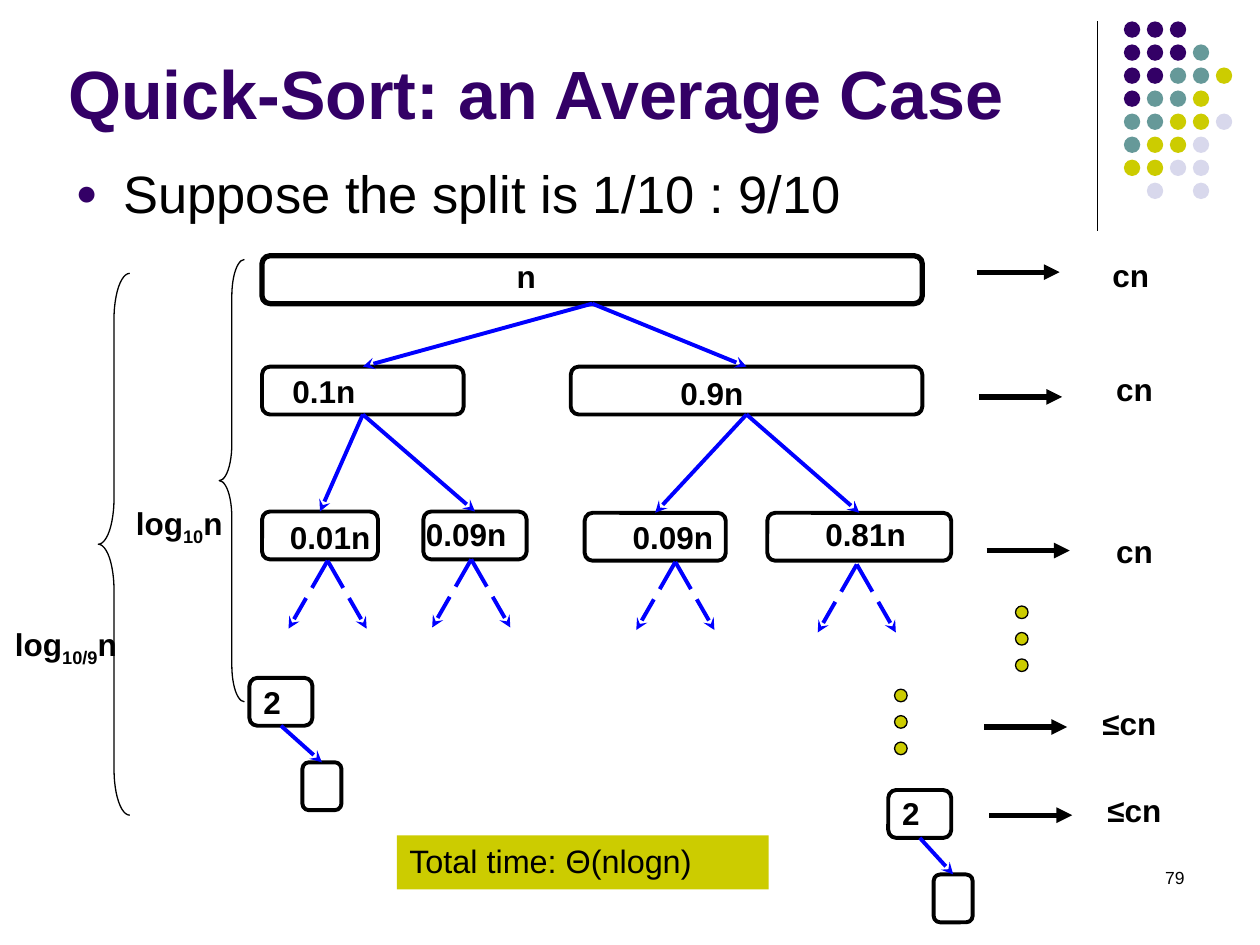
from lxml import etree
from pptx import Presentation
from pptx.dml.color import RGBColor
from pptx.enum.dml import MSO_LINE
from pptx.enum.shapes import MSO_CONNECTOR, MSO_SHAPE
from pptx.enum.text import MSO_ANCHOR, MSO_AUTO_SIZE, PP_ALIGN
from pptx.oxml.ns import qn
from pptx.util import Inches, Pt

STRAIGHT = MSO_CONNECTOR.STRAIGHT
LONG_DASH = MSO_LINE.LONG_DASH
RECTANGLE, ROUNDED = MSO_SHAPE.RECTANGLE, MSO_SHAPE.ROUNDED_RECTANGLE
OVAL, LEFT_BRACE = MSO_SHAPE.OVAL, MSO_SHAPE.LEFT_BRACE
TOP, BOTTOM = MSO_ANCHOR.TOP, MSO_ANCHOR.BOTTOM
LEFT, RIGHT = PP_ALIGN.LEFT, PP_ALIGN.RIGHT
TOP_SITE, BOTTOM_SITE = 0, 2

THEME = {
    "font": "Arial", "ink": "000000", "purple": "330066", "teal": "669999",
    "olive": "CCCC00", "pale": "D8D8EC", "blue": "0000FF",
    "title": 39, "body": 30, "total": 18.5, "label": 18, "number": 10,
    "thin": 0.75, "medium": 2.25, "thick": 3,
}

# Content
TITLE = "Quick-Sort: an Average Case"
BULLET = "Suppose the split is 1/10 : 9/10"
TOTAL = "Total time: Θ(nlogn)"
SLIDE_NUMBER = "79"

# Tree nodes: left, top, width, label, label left, label top, label width
NODE_HEIGHT = 0.38
NODES = {
    "root": (2.08, 2.03, 5.24, "n", 4.1, 2.04, 0.35),
    "tenth": (2.08, 2.91, 1.6, "0.1n", 2.32, 2.95, 0.92),
    "nine tenths": (4.53, 2.91, 2.79, "0.9n", 5.4, 2.97, 0.56),
    "low low": (2.08, 4.06, 0.92, "0.01n", 2.3, 4.11, 0.86),
    "low high": (3.36, 4.06, 0.82, "0.09n", 3.38, 4.09, 0.89),
    "high low": (4.64, 4.07, 1.12, "0.09n", 5.02, 4.11, 0.75),
    "high high": (6.09, 4.07, 1.46, "0.81n", 6.55, 4.09, 0.7),
    "left pair": (1.98, 5.38, 0.5, "2", 2.09, 5.42, 0.34),
    "right pair": (7.05, 6.27, 0.5, "2", 7.16, 6.3, 0.34),
    "left leaf": (2.4, 6.05, 0.31, "", 0, 0, 0),
    "right leaf": (7.41, 6.94, 0.31, "", 0, 0, 0),
}
CHILDREN = {
    "root": ("tenth", "nine tenths"),
    "tenth": ("low low", "low high"),
    "nine tenths": ("high low", "high high"),
    "left pair": ("left leaf",),
    "right pair": ("right leaf",),
}
FURTHER_SPLITS = [(2.6, 4.45), (3.74, 4.44), (5.36, 4.46), (6.8, 4.48)]
# Cost of each level: arrow left, arrow top, text, text left, text top, text width
COSTS = [
    (7.75, 2.16, "cn", 8.73, 1.98, 0.49),
    (7.77, 3.15, "cn", 8.76, 2.89, 0.49),
    (7.83, 4.37, "cn", 8.76, 4.17, 0.49),
    (7.81, 5.77, "≤cn", 8.65, 5.54, 0.63),
    (7.85, 6.47, "≤cn", 8.69, 6.23, 0.63),
]
ELLIPSES = [(8.06, 4.81), (7.1, 5.47)]
# Depths: brace box, logarithm base, label box
DEPTHS = [
    ((0.78, 2.17, 0.25, 4.3), "10/9", (0.02, 4.91, 1.01, 0.44)),
    ((1.74, 2.06, 0.2, 3.51), "10", (0.98, 3.95, 0.89, 0.44)),
]
DOT_ROWS = ["PPP", "PPPT", "PPTTO", "PTTO", "TTOOL", "TOOL", "OOLL", " L L"]
DOT_COLORS = {"P": "purple", "T": "teal", "O": "olive", "L": "pale"}


def color(name):
    return RGBColor.from_string(THEME[name])


def add_shape(kind, box, fill=None, line=None, width="thin"):
    shape = slide.shapes.add_shape(kind, *map(Inches, box))
    shape.shadow.inherit = False
    if fill:
        shape.fill.solid()
        shape.fill.fore_color.rgb = color(fill)
    else:
        shape.fill.background()
    if line:
        shape.line.color.rgb = color(line)
        shape.line.width = Pt(THEME[width])
    else:
        shape.line.fill.background()
    return shape


def add_line(start, end, ink="ink", width="thin", arrow=None, dash=None):
    points = [Inches(value) for value in (*start, *end)]
    connector = slide.shapes.add_connector(STRAIGHT, *points)
    connector.line.color.rgb = color(ink)
    connector.line.width = Pt(THEME[width])
    if dash:
        connector.line.dash_style = dash
    if arrow:
        line_element = connector.line._get_or_add_ln()
        etree.SubElement(line_element, qn("a:tailEnd"), type=arrow)
    etree.SubElement(connector._element.spPr, qn("a:effectLst"))
    return connector


def format_text(shape, size, ink="ink", bold=False, align=LEFT, anchor=TOP,
                inset=(0.1, 0.05), wrap=True):
    frame = shape.text_frame
    frame.word_wrap = wrap
    frame.auto_size = MSO_AUTO_SIZE.NONE
    frame.vertical_anchor = anchor
    frame.margin_left = frame.margin_right = Inches(inset[0])
    frame.margin_top = frame.margin_bottom = Inches(inset[1])
    paragraph = frame.paragraphs[0]
    paragraph.alignment = align
    paragraph.space_before = Pt(0)
    for run in paragraph.runs:
        run.font.name = THEME["font"]
        run.font.size = Pt(THEME[size])
        run.font.bold = bold
        run.font.color.rgb = color(ink)


def add_text(box, text, size="label", bold=True, **options):
    shape = slide.shapes.add_textbox(*map(Inches, box))
    shape.text_frame.text = text
    format_text(shape, size, bold=bold, **options)
    return shape


def place(shape, box):
    shape.left, shape.top, shape.width, shape.height = map(Inches, box)


presentation = Presentation()
presentation.slide_width, presentation.slide_height = Inches(10), Inches(7.5)
slide = presentation.slides.add_slide(presentation.slide_layouts[1])

# Title and bullet
title, body = slide.placeholders
place(title, (0.44, 0.49, 8.25, 0.62))
title.text_frame.text = TITLE
format_text(title, "title", "purple", bold=True, anchor=BOTTOM)
place(body, (0.5, 1.23, 9, 5.48))
body.text_frame.text = BULLET
format_text(body, "body")
properties = body.text_frame.paragraphs[0]._p.get_or_add_pPr()
properties.set("marL", str(Inches(0.38)))
properties.set("indent", str(Inches(-0.38)))
bullet_color = etree.SubElement(properties, qn("a:buClr"))
etree.SubElement(bullet_color, qn("a:srgbClr"), val=THEME["purple"])
etree.SubElement(properties, qn("a:buSzPct"), val="70000")
etree.SubElement(properties, qn("a:buFont"), typeface=THEME["font"])
etree.SubElement(properties, qn("a:buChar"), char="●")

# Corner decoration
add_line((8.71, 0.17), (8.71, 1.83))
for row, pattern in enumerate(DOT_ROWS):
    for column, key in enumerate(pattern):
        if key in DOT_COLORS:
            left, top = 8.92 + column * 0.73 / 4, 0.17 + row * 1.28 / 7
            add_shape(OVAL, (left, top, 0.13, 0.13), DOT_COLORS[key])

# Tree nodes with their labels
node_shapes = {}
for name, (left, top, width, label, *label_box) in NODES.items():
    outline = "thick" if name == "root" else "medium"
    node_shapes[name] = add_shape(ROUNDED, (left, top, width, NODE_HEIGHT),
                                  line="ink", width=outline)
    if label:
        add_text((*label_box, 0.3), label, inset=(0, 0))

# Splits from parent to child
for parent, children in CHILDREN.items():
    for child in children:
        split = add_line((0, 0), (1, 1), "blue", "medium", "stealth")
        split.begin_connect(node_shapes[parent], BOTTOM_SITE)
        split.end_connect(node_shapes[child], TOP_SITE)
for left, top in FURTHER_SPLITS:
    for side in (-0.31, 0.31):
        add_line((left, top), (left + side, top + 0.54), "blue", "medium",
                 "stealth", LONG_DASH)

# Cost of each level
for left, top, text, *text_box in COSTS:
    add_line((left, top), (left + 0.66, top), "ink", "thick", "triangle")
    add_text((*text_box, 0.4), text, wrap=False)
for left, top in ELLIPSES:
    for step in range(3):
        add_shape(OVAL, (left, top + step * 0.21, 0.1, 0.1), "olive", "ink")

# Depth braces with logarithms
for brace_box, base, label_box in DEPTHS:
    brace = add_shape(LEFT_BRACE, brace_box, line="ink")
    brace.adjustments[0] = 1.45
    label = slide.shapes.add_textbox(*map(Inches, label_box))
    paragraph = label.text_frame.paragraphs[0]
    for text in ("log", base, "n"):
        paragraph.add_run().text = text
    format_text(label, "label", bold=True, wrap=False)
    paragraph.runs[1]._r.get_or_add_rPr().set("baseline", "-25000")

# Total and slide number
total = add_shape(RECTANGLE, (3.15, 6.63, 2.95, 0.43), "olive")
total.text_frame.text = TOTAL
format_text(total, "total")
add_text((7.17, 6.83, 2.33, 0.5), SLIDE_NUMBER, "number", bold=False, align=RIGHT)

presentation.save("out.pptx")
